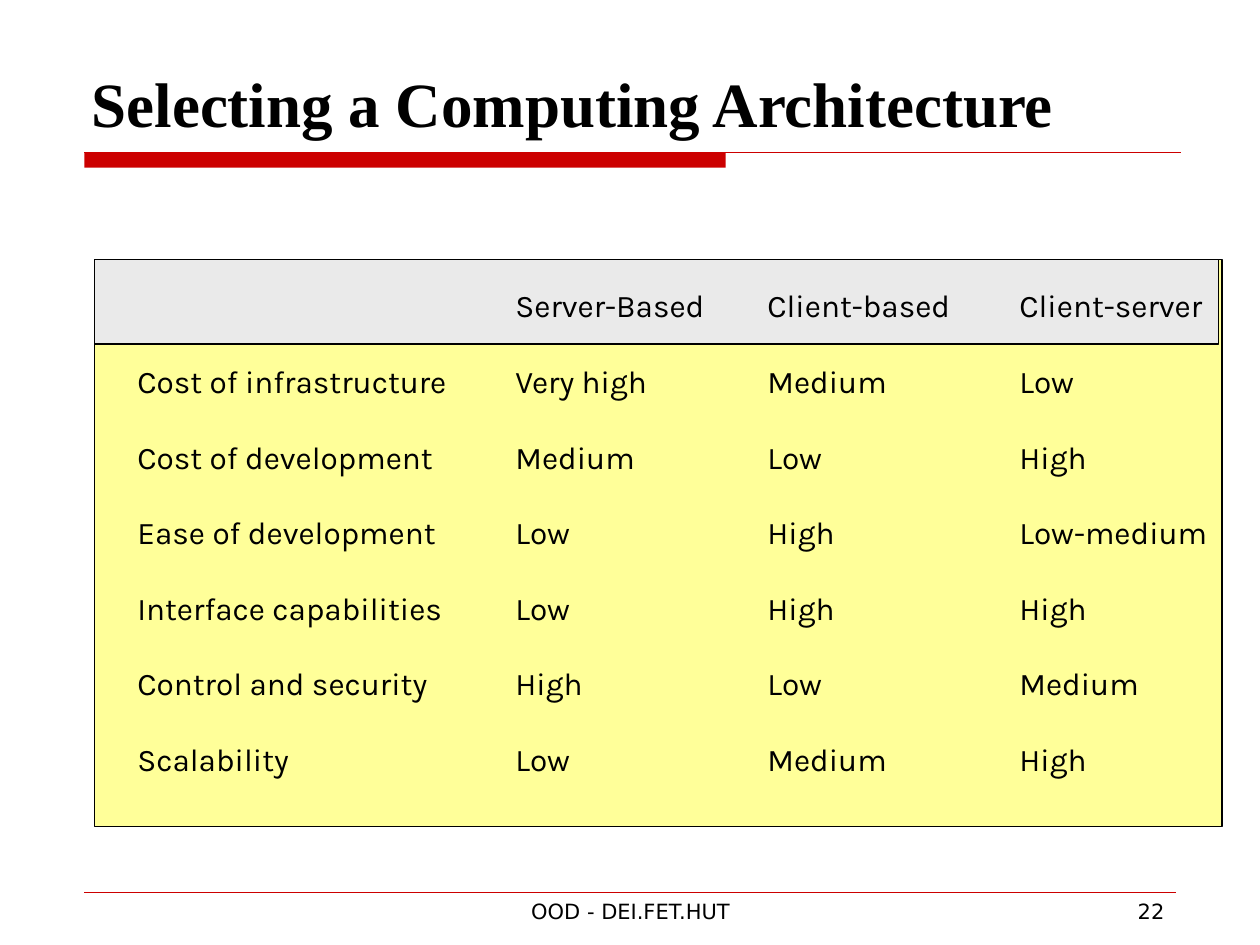
from lxml import etree
from pptx import Presentation
from pptx import util as u
from pptx.dml.color import RGBColor
from pptx.enum import shapes, text
from pptx.oxml import ns

NO_STYLE_NO_GRID = "{2D5ABB26-0587-4C30-8999-92F81FD0307C}"

COMPARISON = [
    ["", "Server-Based", "Client-based", "Client-server"],
    ["Cost of infrastructure", "Very high", "Medium", "Low"],
    ["Cost of development", "Medium", "Low", "High"],
    ["Ease of development", "Low", "High", "Low-medium"],
    ["Interface capabilities", "Low", "High", "High"],
    ["Control and security", "High", "Low", "Medium"],
    ["Scalability", "Low", "Medium", "High"],
]


def color(hex_code):
    return RGBColor.from_string(hex_code)


def write(frame, words, *, font, size, bold=False, ink="000000",
          align=text.PP_ALIGN.LEFT):
    """Put one formatted paragraph into a text frame."""
    paragraph = frame.paragraphs[0]
    paragraph.alignment = align
    run = paragraph.add_run()
    run.text = words
    run.font.name = font
    run.font.size = u.Pt(size)
    run.font.bold = bold
    run.font.color.rgb = color(ink)


class SlideBuilder:
    accent = "CC0000"
    outline = "000000"
    title_font = "Times New Roman"
    body_font = "Karla"
    footer_font = "DejaVu Sans"

    def __init__(self, slide):
        self.slide = slide

    def panel(self, left, top, width, height, fill, line=None):
        box = self.slide.shapes.add_shape(
            shapes.MSO_SHAPE.RECTANGLE, u.Inches(left), u.Inches(top),
            u.Inches(width), u.Inches(height))
        box.shadow.inherit = False
        box.fill.solid()
        box.fill.fore_color.rgb = color(fill)
        if line:
            box.line.color.rgb = color(line)
            box.line.width = u.Pt(1)
        else:
            box.line.fill.background()

    def rule(self, left, right, y, weight):
        line = self.slide.shapes.add_connector(
            shapes.MSO_CONNECTOR.STRAIGHT, u.Inches(left), u.Inches(y),
            u.Inches(right), u.Inches(y))
        line.line.color.rgb = color(self.accent)
        line.line.width = u.Pt(weight)
        etree.SubElement(line._element.spPr, ns.qn("a:effectLst"))

    def label(self, words, left, top, width, height,
              anchor=text.MSO_ANCHOR.TOP, **style):
        frame = self.slide.shapes.add_textbox(
            u.Inches(left), u.Inches(top), u.Inches(width),
            u.Inches(height)).text_frame
        frame.word_wrap = True
        frame.vertical_anchor = anchor
        write(frame, words, **style)

    def table(self, rows, left, top, column_widths, row_height):
        """Add a table without fills or borders, so panels show through."""
        table = self.slide.shapes.add_table(
            len(rows), len(column_widths), u.Inches(left), u.Inches(top),
            u.Inches(sum(column_widths)),
            u.Inches(row_height * len(rows))).table
        table.horz_banding = False
        table.first_row = False
        table._tbl.tblPr.find(ns.qn("a:tableStyleId")).text = NO_STYLE_NO_GRID
        for column, width in zip(table.columns, column_widths):
            column.width = u.Inches(width)
        for r, row in enumerate(rows):
            for c, words in enumerate(row):
                cell = table.cell(r, c)
                cell.fill.background()
                cell.vertical_anchor = text.MSO_ANCHOR.MIDDLE
                write(cell.text_frame, words, font=self.body_font, size=18)


def main():
    deck = Presentation()
    deck.slide_width, deck.slide_height = u.Inches(10), u.Inches(7.5)
    page = SlideBuilder(deck.slides.add_slide(deck.slide_layouts[6]))

    page.panel(0.67, 1.21, 5.09, 0.12, page.accent)
    page.rule(0.67, 9.37, 1.21, 0.75)
    page.label("Selecting a Computing Architecture", 0.63, 0.08, 8.75, 1.08,
               anchor=text.MSO_ANCHOR.BOTTOM, font=page.title_font,
               size=36, bold=True)

    page.panel(0.75, 2.06, 8.95, 4.5, "FFFF99", page.outline)
    page.panel(0.75, 2.06, 8.92, 0.67, "EAEAEA", page.outline)
    page.table(COMPARISON, 0.99, 2.14, [3, 2, 2, 1.71], 0.6)

    page.rule(0.67, 9.33, 7.08, 0.25)
    page.label("OOD - DEI.FET.HUT", 3.42, 7.08, 3.17, 0.27,
               font=page.footer_font, size=12, align=text.PP_ALIGN.CENTER)
    page.label("22", 7.17, 7.08, 2.17, 0.27,
               font=page.footer_font, size=12, align=text.PP_ALIGN.RIGHT)

    deck.save("out.pptx")


if __name__ == "__main__":
    main()
